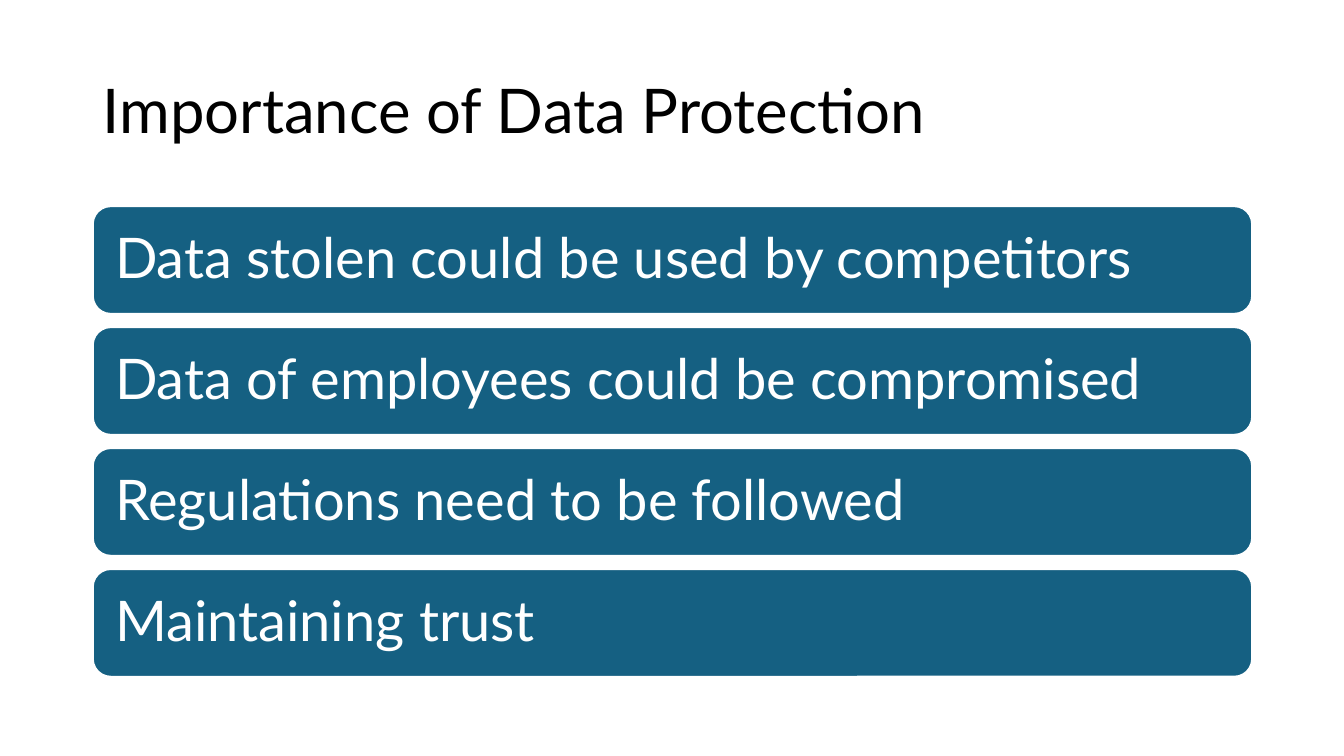
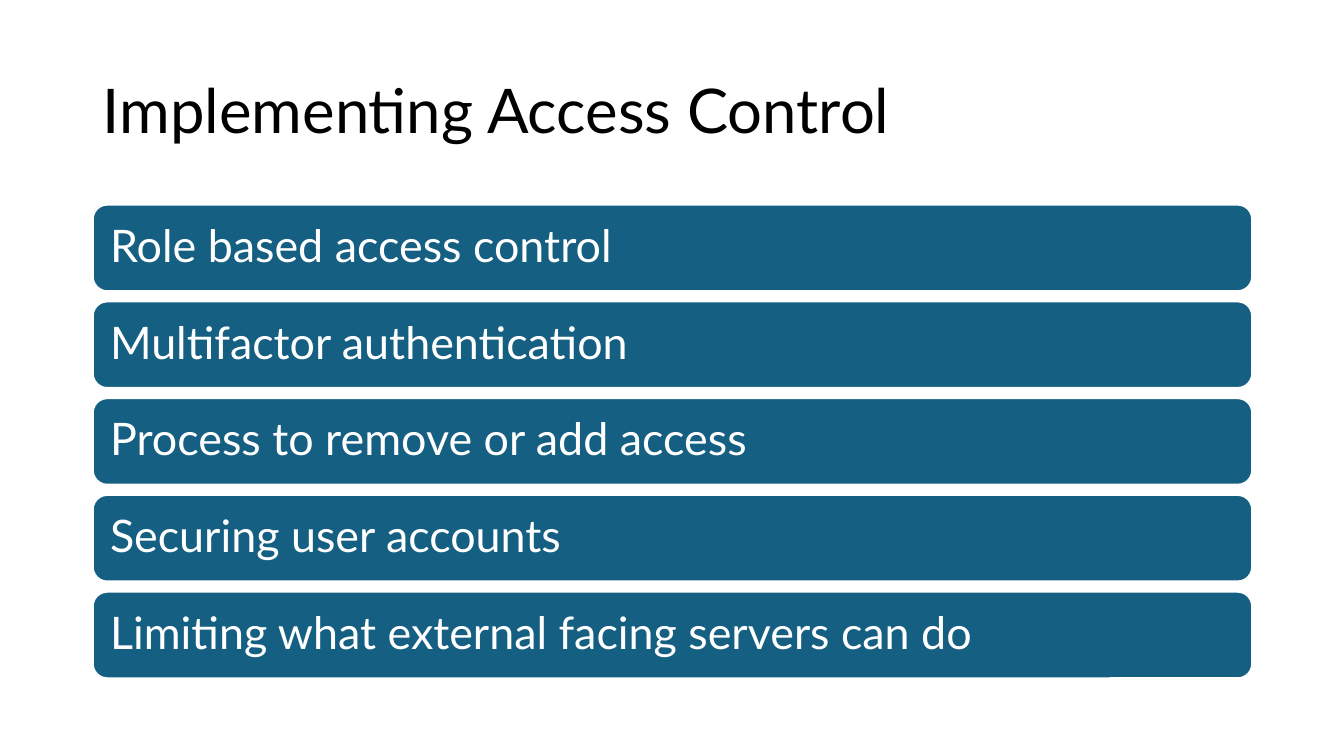
from pptx import Presentation
from pptx.dml.color import RGBColor
from pptx.enum.shapes import MSO_SHAPE
from pptx.enum.text import MSO_ANCHOR, MSO_AUTO_SIZE, PP_ALIGN
from pptx.util import Inches, Pt

ROUNDED = MSO_SHAPE.ROUNDED_RECTANGLE
MIDDLE = MSO_ANCHOR.MIDDLE
NO_FIT = MSO_AUTO_SIZE.NONE
LEFT = PP_ALIGN.LEFT

TITLE_ONLY = 5
FONT = "Lato"
BLACK = "000000"
WHITE = "FFFFFF"
BLUE = "156082"

MARGIN = 0.92
CONTENT_WIDTH = 11.5
STACK_CENTRE = 4.38

LARGE_BARS = {"height": 1.07, "gap": 0.13, "inset": 0.17, "size": 40}
SMALL_BARS = {"height": 0.86, "gap": 0.1, "inset": 0.13, "size": 32}

PAGES = [
    ("Importance of Data Protection", LARGE_BARS, [
        "Data stolen could be used by competitors",
        "Data of employees could be compromised",
        "Regulations need to be followed",
        "Maintaining trust",
    ]),
    ("Implementing Access Control", SMALL_BARS, [
        "Role based access control",
        "Multifactor authentication",
        "Process to remove or add access",
        "Securing user accounts",
        "Limiting what external facing servers can do",
    ]),
]


def colour(value):
    return RGBColor.from_string(value)


def set_values(target, values):
    for name, value in values.items():
        setattr(target, name, value)


def write_text(box, text, size, text_colour, inset_x, inset_y):
    frame = box.text_frame
    set_values(frame, {
        "word_wrap": True,
        "auto_size": NO_FIT,
        "vertical_anchor": MIDDLE,
        "margin_left": Inches(inset_x),
        "margin_right": Inches(inset_x),
        "margin_top": Inches(inset_y),
        "margin_bottom": Inches(inset_y),
    })
    para = frame.paragraphs[0]
    set_values(para, {"alignment": LEFT, "line_spacing": 0.9})
    span = para.add_run()
    span.text = text
    set_values(span.font, {"name": FONT, "size": Pt(size)})
    span.font.color.rgb = colour(text_colour)


def add_title(page, text):
    title = page.shapes.title
    set_values(title, {
        "left": Inches(MARGIN),
        "top": Inches(0.4),
        "width": Inches(CONTENT_WIDTH),
        "height": Inches(1.45),
    })
    write_text(title, text, 44, BLACK, 0.1, 0.05)


def add_bar(shapes, text, top, style):
    bar = shapes.add_shape(ROUNDED, Inches(MARGIN), Inches(top),
                           Inches(CONTENT_WIDTH), Inches(style["height"]))
    bar.shadow.inherit = False
    bar.fill.solid()
    bar.fill.fore_color.rgb = colour(BLUE)
    bar.line.color.rgb = colour(WHITE)
    bar.line.width = Pt(1.5)
    write_text(bar, text, style["size"], WHITE, style["inset"], style["inset"])


def add_bar_stack(page, items, style):
    pitch = style["height"] + style["gap"]
    first_top = STACK_CENTRE - (len(items) * pitch - style["gap"]) / 2
    stack = page.shapes.add_group_shape()
    for index, text in enumerate(items):
        add_bar(stack.shapes, text, first_top + index * pitch, style)


def main():
    deck = Presentation()
    deck.slide_width = Inches(13.33)
    deck.slide_height = Inches(7.5)
    for title, style, items in PAGES:
        page = deck.slides.add_slide(deck.slide_layouts[TITLE_ONLY])
        add_title(page, title)
        add_bar_stack(page, items, style)
    deck.save("out.pptx")


if __name__ == "__main__":
    main()
